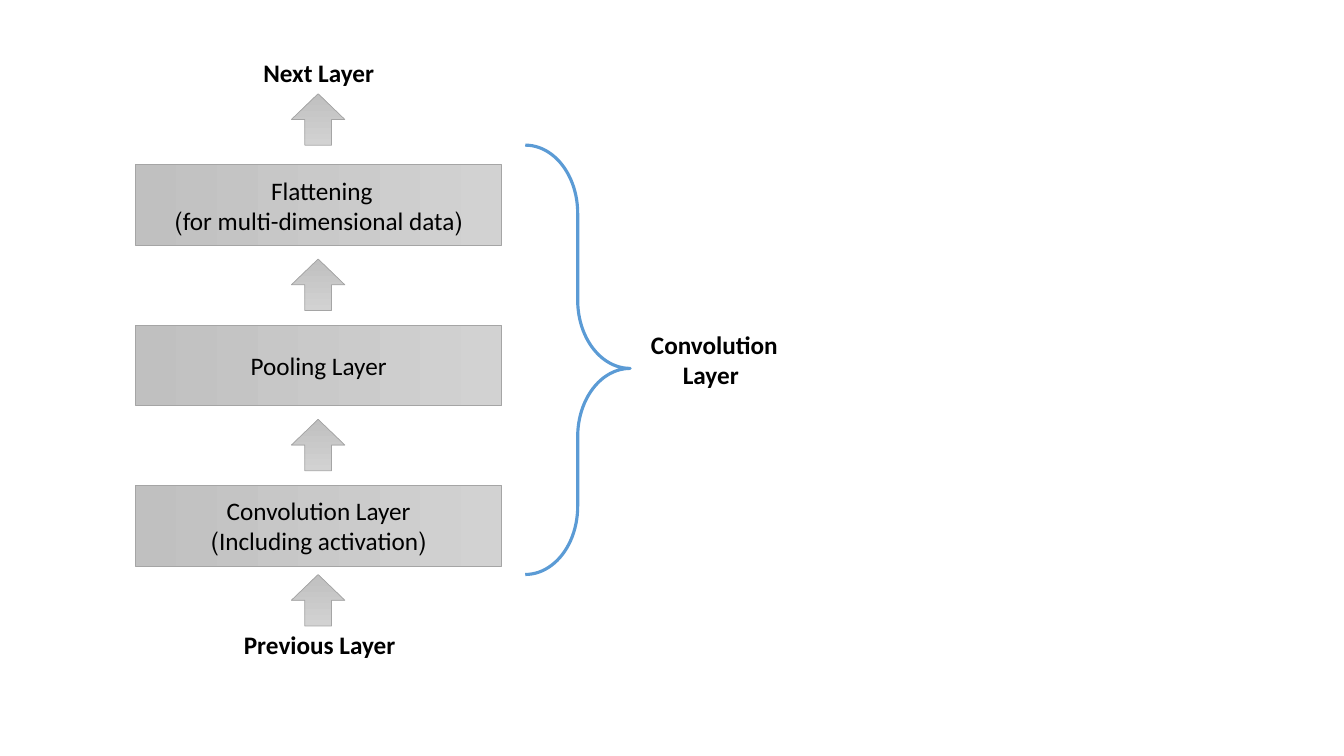
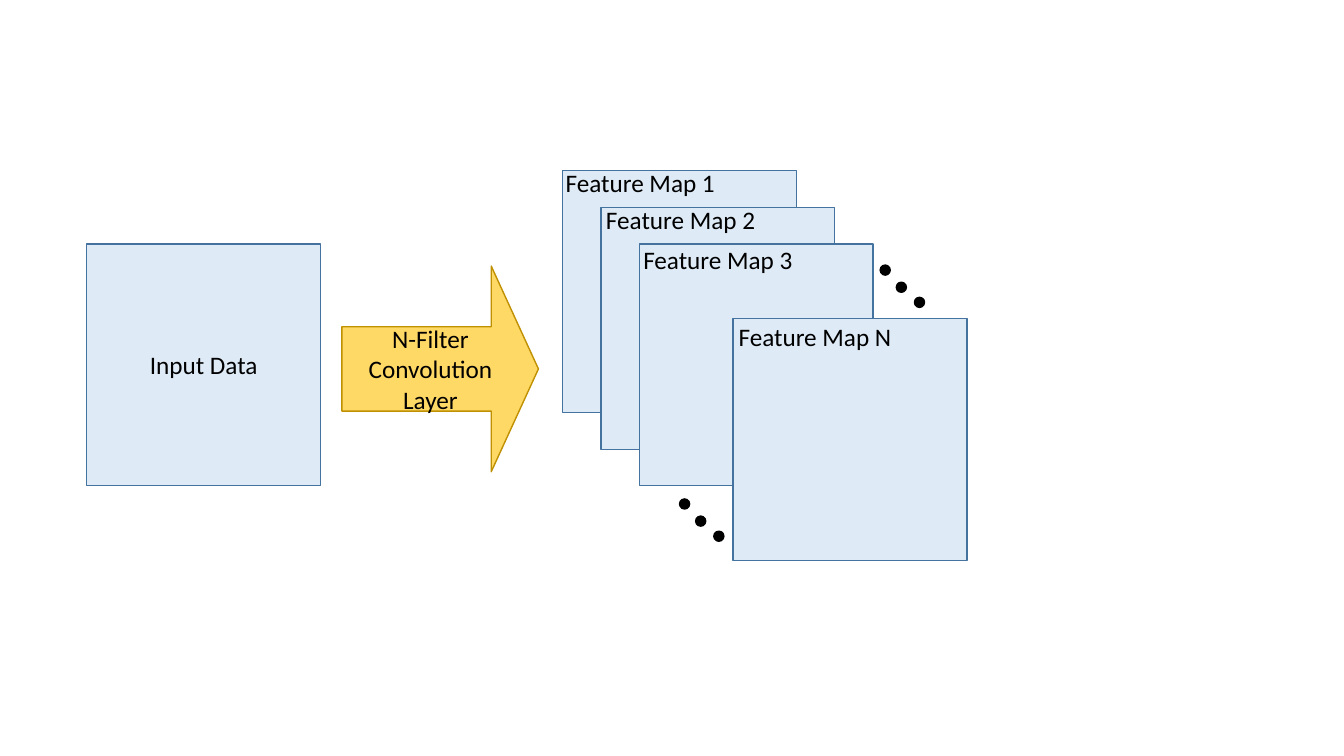
from pptx import Presentation
from pptx.dml.color import RGBColor
from pptx.enum import shapes, text
from pptx.util import Inches, Pt

FONT, TEXT_SIZE = "Calibri", 18
BLACK = RGBColor(0x00, 0x00, 0x00)
GREY_LIGHT = RGBColor(0xD2, 0xD2, 0xD2)
GREY_DARK = RGBColor(0xC0, 0xC0, 0xC0)
GREY_EDGE = RGBColor(0xA5, 0xA5, 0xA5)
BRACE_BLUE = RGBColor(0x5B, 0x9B, 0xD5)
MAP_BLUE = RGBColor(0xDE, 0xEB, 0xF7)
MAP_EDGE = RGBColor(0x43, 0x73, 0x9E)
GOLD = RGBColor(0xFF, 0xD9, 0x66)
GOLD_EDGE = RGBColor(0xBF, 0x90, 0x00)

SHAPE = shapes.MSO_SHAPE
RIGHT, CENTER = text.PP_ALIGN.RIGHT, text.PP_ALIGN.CENTER
QUARTER_TURN, HALF_TURN = 90, 180
TOP_TO_BOTTOM = 270

# Slide 1: the layers from bottom to top, boxes as (left, top, width, height)
LAYERS = [
    "Convolution Layer\n(Including activation)",
    "Pooling Layer",
    "Flattening \n(for multi-dimensional data)",
]
LAYER_LEFT, LAYER_TOP, LAYER_PITCH = 2.76, 3.4, 1.59
LAYER_SIZE = (0.8, 3.63)  # before the quarter turn
FLOW_LEFT, FLOW_TOPS = 2.89, [4.16, 2.57, 5.7, 0.93]
FLOW_SIZE = (0.53, 0.51)
LAYER_LABELS = [
    ("Previous Layer", (2.3, 6.19, 1.72, 0.4), RIGHT),
    ("Next Layer", (2.5, 0.52, 1.31, 0.4), RIGHT),
    ("Convolution\n Layer", (6.35, 3.22, 1.47, 0.71), CENTER),
]
BRACE_BOX, BRACE_BEND = (5.21, 1.44, 1.04, 4.26), (0.65, 0.52)

# Slide 2: feature maps as (name, corner of the square, box of the label)
FEATURE_MAPS = [
    ("Feature Map 1", (5.58, 1.69), (5.49, 1.61, 1.7, 0.4)),
    ("Feature Map 2", (5.96, 2.06), (5.89, 1.98, 1.7, 0.4)),
    ("Feature Map 3", (6.34, 2.42), (6.26, 2.37, 1.7, 0.4)),
    ("Feature Map N", (7.27, 3.16), (7.2, 3.14, 1.74, 0.4)),
]
MAP_SIZE = (2.32, 2.4)
INPUT_CORNER = (0.86, 2.42)
FILTER_BOX, FILTER_HEAD = (3.39, 2.64, 1.95, 2.04), (0.41, 0.24)
TRAIL_STARTS = [(6.74, 4.95), (8.73, 2.63)]
DOT_STEPS = [(0, 0), (0.16, 0.17), (0.34, 0.32)]
DOT_SIZE = (0.1, 0.1)


def write(part, words, align=CENTER, bold=False):
    """Put words into a part as right-to-left paragraphs in the shared style."""
    part.text_frame.text = words
    for paragraph in part.text_frame.paragraphs:
        paragraph.alignment = align
        paragraph._p.get_or_add_pPr().set("rtl", "1")
        for run in paragraph.runs:
            run.font.name, run.font.size = FONT, Pt(TEXT_SIZE)
            run.font.bold, run.font.color.rgb = bold, BLACK


def add_part(slide, kind, box, edge, edge_width=1, fill=None, bends=()):
    """Add an outlined preset shape, filled with one colour if given."""
    part = slide.shapes.add_shape(kind, *map(Inches, box))
    part.shadow.inherit = False
    part.line.color.rgb, part.line.width = edge, Pt(edge_width)
    if fill is None:
        part.fill.background()
    else:
        part.fill.solid()
        part.fill.fore_color.rgb = fill
    for index, bend in enumerate(bends):
        part.adjustments[index] = bend
    return part


def add_grey(slide, kind, box, turn):
    """Add a turned shape whose shading turns with it from light to dark."""
    part = add_part(slide, kind, box, GREY_EDGE, 0.5)
    part.rotation = turn
    part.fill.gradient()
    part.fill.gradient_angle = TOP_TO_BOTTOM
    for stop, shade in zip(part.fill.gradient_stops, (GREY_LIGHT, GREY_DARK)):
        stop.color.rgb = shade
    return part


def add_label(slide, words, box, align=RIGHT, bold=False):
    """Add a free-standing label that fits its text and does not wrap."""
    label = slide.shapes.add_textbox(*map(Inches, box))
    label.text_frame.word_wrap = False
    label.text_frame.auto_size = text.MSO_AUTO_SIZE.SHAPE_TO_FIT_TEXT
    write(label, words, align, bold)


def build_layer_stack(slide):
    """Draw the stacked layers, the flow between them and the brace."""
    for row, words in enumerate(LAYERS):
        corner = (LAYER_LEFT, LAYER_TOP - row * LAYER_PITCH)
        layer = add_grey(slide, SHAPE.RECTANGLE, corner + LAYER_SIZE,
                         QUARTER_TURN)
        write(layer, words)
        layer.text_frame._txBody.bodyPr.set("vert", "vert270")
    for top in FLOW_TOPS:
        add_grey(slide, SHAPE.DOWN_ARROW, (FLOW_LEFT, top) + FLOW_SIZE,
                 HALF_TURN)
    add_part(slide, SHAPE.RIGHT_BRACE, BRACE_BOX, BRACE_BLUE, 2.25,
             bends=BRACE_BEND)
    for words, box, align in LAYER_LABELS:
        add_label(slide, words, box, align, bold=True)


def build_feature_maps(slide):
    """Draw the input, the filter arrow and the cascade of feature maps."""
    def add_square(corner):
        """Add one data square at a corner."""
        return add_part(slide, SHAPE.RECTANGLE, corner + MAP_SIZE, MAP_EDGE,
                        fill=MAP_BLUE)

    for _, corner, _ in FEATURE_MAPS:
        add_square(corner)
    for name, _, label_box in FEATURE_MAPS:
        add_label(slide, name, label_box)
    for left, top in TRAIL_STARTS:
        for right, down in DOT_STEPS:
            add_part(slide, SHAPE.OVAL, (left + right, top + down) + DOT_SIZE,
                     BLACK, fill=BLACK)
    write(add_square(INPUT_CORNER), "Input Data")
    filter_arrow = add_part(slide, SHAPE.RIGHT_ARROW, FILTER_BOX, GOLD_EDGE,
                            fill=GOLD, bends=FILTER_HEAD)
    write(filter_arrow, "N-Filter\nConvolution Layer")


deck = Presentation()
deck.slide_width, deck.slide_height = Inches(13.33), Inches(7.5)
blank = deck.slide_layouts[6]
for build in (build_layer_stack, build_feature_maps):
    build(deck.slides.add_slide(blank))
deck.save("out.pptx")
